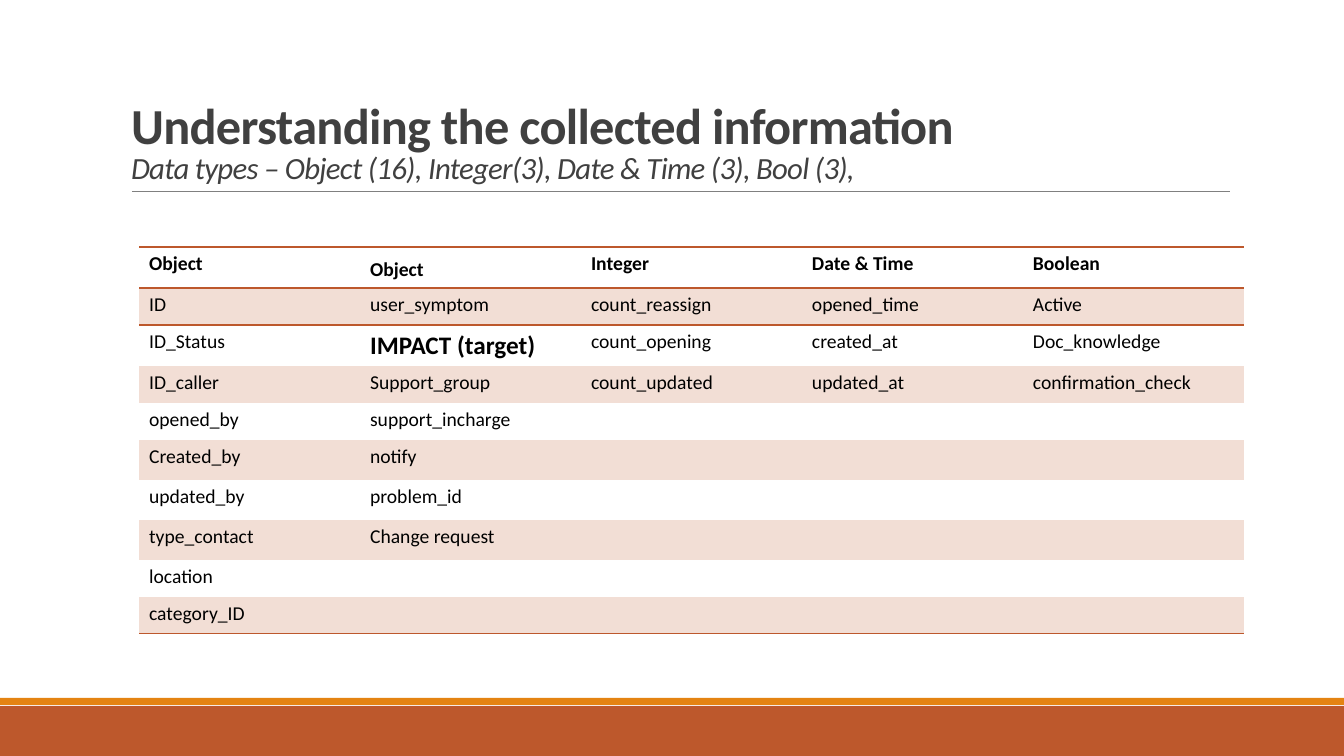
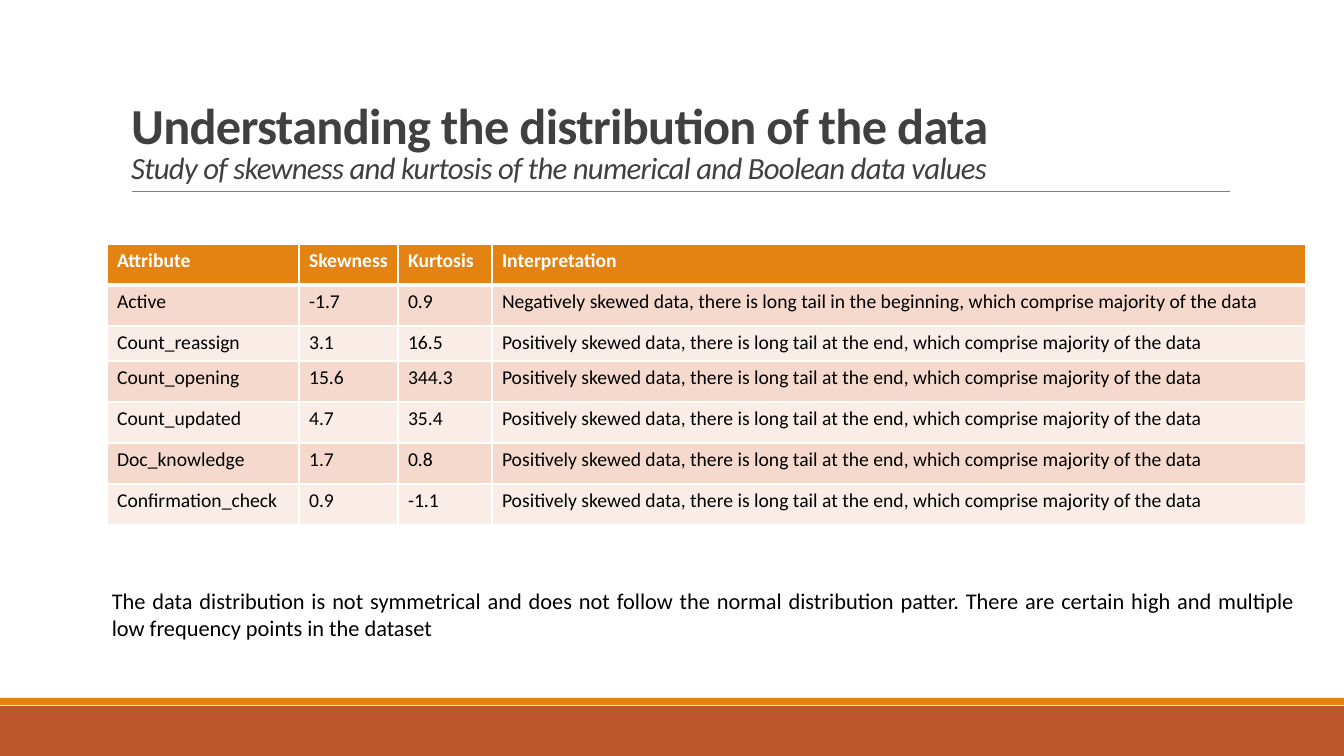
from lxml import etree
from pptx import Presentation
from pptx import util as u
from pptx.dml.color import RGBColor
from pptx.enum import shapes, text
from pptx.oxml import ns

WIDTH, HEIGHT = 1344, 756
EMU_PER_PX = u.Inches(7.5) / HEIGHT
FONT = "Calibri"
NO_TABLE_STYLE = "{2D5ABB26-0587-4C30-8999-92F81FD0307C}"

RUST = RGBColor(0xBD, 0x58, 0x2C)
ORANGE = RGBColor(0xE4, 0x83, 0x12)
GREY = RGBColor(0x80, 0x80, 0x80)
CHARCOAL = RGBColor(0x40, 0x40, 0x40)
BLACK = RGBColor(0, 0, 0)
WHITE = RGBColor(0xFF, 0xFF, 0xFF)
RUST_TINT = RGBColor(0xF2, 0xDE, 0xD5)
PEACH = RGBColor(0xF5, 0xD9, 0xCC)
PALE_PEACH = RGBColor(0xFA, 0xED, 0xE7)

TYPE_COLUMNS = {
    "Object": ["ID", "ID_Status", "ID_caller", "opened_by", "Created_by",
               "updated_by", "type_contact", "location", "category_ID"],
    "Object (continued)": ["user_symptom", "IMPACT (target)", "Support_group",
                           "support_incharge", "notify", "problem_id",
                           "Change request"],
    "Integer": ["count_reassign", "count_opening", "count_updated"],
    "Date & Time": ["opened_time", "created_at", "updated_at"],
    "Boolean": ["Active", "Doc_knowledge", "confirmation_check"],
}

TAIL = "Positively skewed data, there is long tail at the end, which comprise majority of the data"
DISTRIBUTION = [
    ("Attribute", "Skewness", "Kurtosis", "Interpretation"),
    ("Active", "-1.7", "0.9",
     "Negatively skewed data, there is long tail in the beginning, "
     "which comprise majority of the data"),
    ("Count_reassign", "3.1", "16.5", TAIL),
    ("Count_opening", "15.6", "344.3", TAIL),
    ("Count_updated", "4.7", "35.4", TAIL),
    ("Doc_knowledge", "1.7", "0.8", TAIL),
    ("Confirmation_check", "0.9", "-1.1", TAIL),
]


def px(*lengths):
    return [u.Emu(round(length * EMU_PER_PX)) for length in lengths]


def style(paragraph, size, colour=BLACK, bold=False):
    font = paragraph.font
    font.name, font.size, font.bold = FONT, u.Pt(size), bold
    font.color.rgb = colour


def set_edges(cell, edges):
    """Draw the given cell edges; edges maps L, R, T, B to (colour, points)."""
    present = [side for side in "LRTB" if edges.get(side)]
    for position, side in enumerate(present):
        colour, points = edges[side]
        line = etree.Element(ns.qn(f"a:ln{side}"), w=str(u.Pt(points)))
        fill = etree.SubElement(line, ns.qn("a:solidFill"))
        etree.SubElement(fill, ns.qn("a:srgbClr"), val=str(colour))
        cell._tc.get_or_add_tcPr().insert(position, line)


class Deck:
    def __init__(self):
        self.presentation = Presentation()
        self.presentation.slide_width, self.presentation.slide_height = px(WIDTH, HEIGHT)
        self.slide = None

    def add_slide(self, heading, subtitle):
        layout = self.presentation.slide_layouts[5]
        self.slide = self.presentation.slides.add_slide(layout)
        self.band(706, 50, RUST)
        self.band(698, 7, ORANGE)
        self.rule(132, 1230, 191)
        self.title(heading, subtitle)

    def band(self, top, height, colour):
        band = self.slide.shapes.add_shape(
            shapes.MSO_SHAPE.RECTANGLE, *px(0, top, WIDTH, height))
        band.shadow.inherit = False
        band.fill.solid()
        band.fill.fore_color.rgb = colour
        band.line.fill.background()

    def rule(self, left, right, y):
        rule = self.slide.shapes.add_connector(
            shapes.MSO_CONNECTOR.STRAIGHT, *px(left, y, right, y))
        rule.line.color.rgb = GREY
        rule.line.width = u.Pt(0.5)
        etree.SubElement(rule._element.spPr, ns.qn("a:effectLst"))

    def title(self, heading, subtitle):
        title = self.slide.shapes.title
        title.left, title.top, title.width, title.height = px(121, 31, 1109, 160)
        frame = title.text_frame
        frame.auto_size = text.MSO_AUTO_SIZE.NONE
        frame.vertical_anchor = text.MSO_ANCHOR.BOTTOM
        paragraph = frame.paragraphs[0]
        paragraph.alignment = text.PP_ALIGN.LEFT
        paragraph.line_spacing = 0.85
        style(paragraph, 36, CHARCOAL)
        heading_run = paragraph.add_run()
        heading_run.text = heading
        heading_run.font.bold = True
        paragraph.add_line_break()
        subtitle_run = paragraph.add_run()
        subtitle_run.text = subtitle
        subtitle_run.font.size = u.Pt(22)
        subtitle_run.font.italic = True
        for run in paragraph.runs:
            run._r.get_or_add_rPr().set("spc", "-50")

    def table(self, left, top, widths, heights, rows, header, bands, rules, divider=None):
        """Add a table; header is (text colour, fill), rules maps a row boundary to a line."""
        frame = self.slide.shapes.add_table(
            len(rows), len(widths), *px(left, top, sum(widths), sum(heights)))
        table = frame.table
        table._tbl.tblPr.find(ns.qn("a:tableStyleId")).text = NO_TABLE_STYLE
        for column, width in zip(table.columns, px(*widths)):
            column.width = width
        for row, height in zip(table.rows, px(*heights)):
            row.height = height
        for r, values in enumerate(rows):
            colour, fill = (BLACK, bands[(r - 1) % 2]) if r else header
            edges = {"L": divider, "R": divider, "T": rules.get(r), "B": rules.get(r + 1)}
            for c, value in enumerate(values):
                cell = table.cell(r, c)
                cell.text = value
                paragraph = cell.text_frame.paragraphs[0]
                style(paragraph, 14, colour, bold=r == 0)
                if not value:
                    etree.SubElement(paragraph._p, ns.qn("a:endParaRPr"), sz="1400")
                cell.fill.solid()
                cell.fill.fore_color.rgb = fill
                set_edges(cell, edges)
        return table

    def note(self, left, top, width, height, words):
        box = self.slide.shapes.add_textbox(*px(left, top, width, height))
        frame = box.text_frame
        frame.word_wrap = True
        frame.vertical_anchor = text.MSO_ANCHOR.MIDDLE
        paragraph = frame.paragraphs[0]
        paragraph.text = words
        paragraph.alignment = text.PP_ALIGN.JUSTIFY
        style(paragraph, 16)


def data_types_slide(deck):
    deck.add_slide("Understanding the collected information",
                   "Data types – Object (16), Integer(3), Date & Time (3), Bool (3),")
    depth = max(map(len, TYPE_COLUMNS.values()))
    columns = [[name.removesuffix(" (continued)"), *fields, *[""] * (depth - len(fields))]
               for name, fields in TYPE_COLUMNS.items()]
    table = deck.table(
        139, 247, [221] * len(columns), [41, 37, 41, 37, 37, 40, 40, 40, 37, 37],
        list(zip(*columns)), header=(BLACK, WHITE), bands=(RUST_TINT, WHITE),
        rules={boundary: (RUST, 1) for boundary in (0, 1, depth + 1)})
    table.cell(0, 1).margin_top = px(11)[0]
    style(table.cell(2, 1).text_frame.paragraphs[0], 18, bold=True)


def distribution_slide(deck):
    deck.add_slide("Understanding the distribution of the data",
                   "Study of skewness and kurtosis of the numerical and Boolean data values")
    thin = (WHITE, 1)
    rules = {boundary: thin for boundary in range(len(DISTRIBUTION) + 1)}
    rules[1] = (WHITE, 3)
    deck.table(107, 244, [192, 99, 94, 814], [41, 41, 35, 41, 41, 41, 41],
               DISTRIBUTION, header=(WHITE, ORANGE), bands=(PEACH, PALE_PEACH),
               rules=rules, divider=thin)
    deck.note(102, 581, 1203, 67,
              "The data distribution is not symmetrical and does not follow the normal "
              "distribution patter. There are certain high and multiple low frequency "
              "points in the dataset")


def main():
    deck = Deck()
    data_types_slide(deck)
    distribution_slide(deck)
    deck.presentation.save("out.pptx")


if __name__ == "__main__":
    main()
